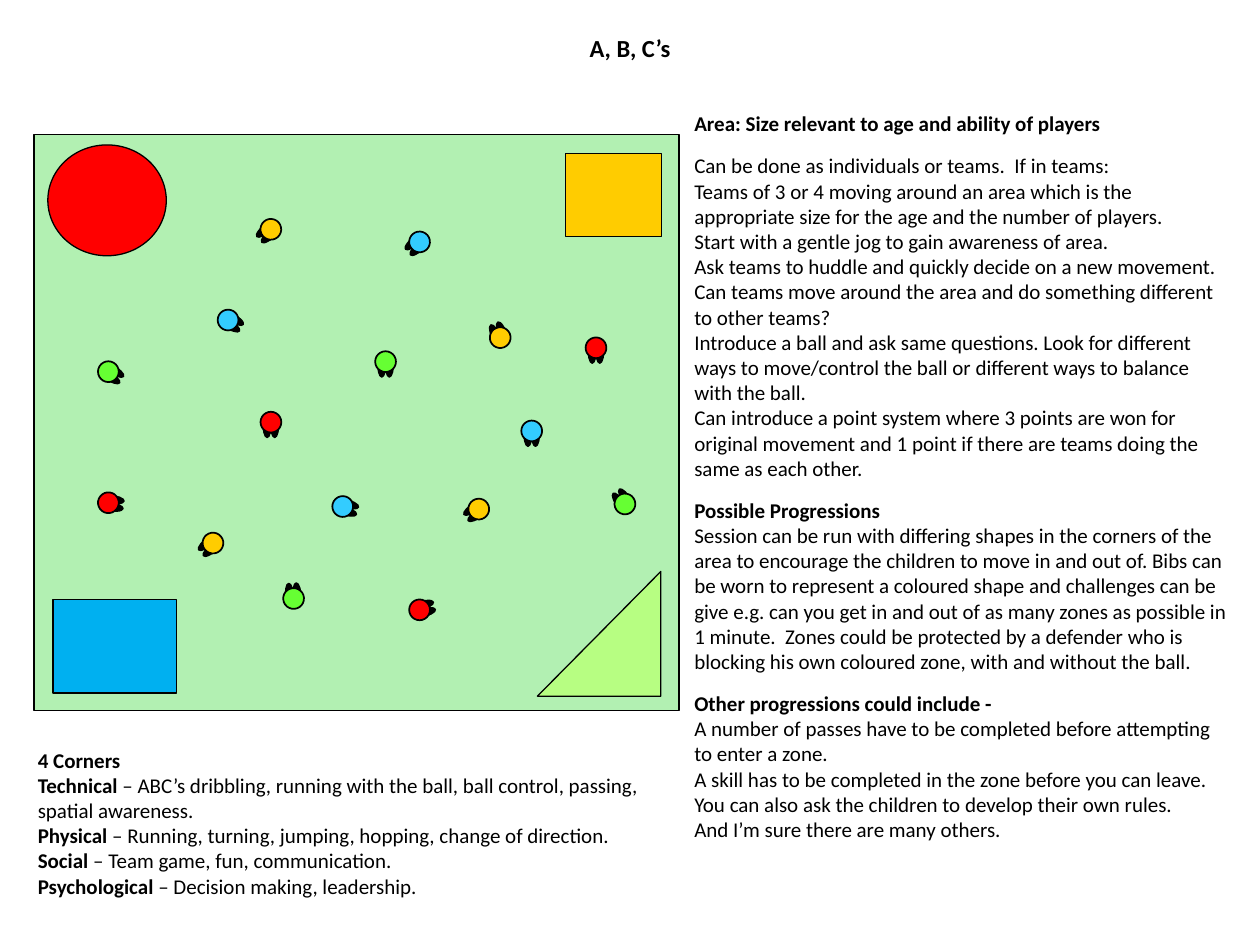
from math import cos, radians, sin

from lxml.etree import SubElement
from pptx import Presentation
from pptx.dml.color import RGBColor
from pptx.enum.shapes import MSO_SHAPE
from pptx.enum.text import MSO_ANCHOR, MSO_AUTO_SIZE, PP_ALIGN
from pptx.oxml.ns import qn
from pptx.util import Inches, Pt

THEME = {
    "font": "Calibri", "title": Pt(14), "body": Pt(12), "gap": Pt(9.6),
    "thin": Pt(0.75), "outline": Pt(1),
    "black": RGBColor(0x00, 0x00, 0x00), "pitch": RGBColor(0xB2, 0xF0, 0xB2),
    "red": RGBColor(0xFF, 0x00, 0x00), "yellow": RGBColor(0xFF, 0xCC, 0x00),
    "green": RGBColor(0x66, 0xFF, 0x33), "blue": RGBColor(0x33, 0xCC, 0xFF),
    "blue zone": RGBColor(0x00, 0xB0, 0xF0), "green zone": RGBColor(0xB7, 0xFE, 0x82),
}

presentation = Presentation()
presentation.slide_width, presentation.slide_height = Inches(10), Inches(7.5)
CELL = presentation.slide_width / 100  # square grid: 100 columns by 75 rows
slide = presentation.slides.add_slide(presentation.slide_layouts[3])


def add_outlined(kind, column, row, columns, rows, color, rotation=0, line="thin"):
    box = [round(length * CELL) for length in (column, row, columns, rows)]
    shape = slide.shapes.add_shape(kind, *box)
    shape.rotation = rotation
    shape.shadow.inherit = False
    shape.fill.solid()
    shape.fill.fore_color.rgb = THEME[color]
    shape.line.color.rgb = THEME["black"]
    shape.line.width = THEME[line]


def fill_placeholder(placeholder, box, inset, paragraphs, size, alignment):
    """Write paragraphs of (gap before, bold text, plain text) into a placeholder."""
    for name, length in zip(("left", "top", "width", "height"), box):
        setattr(placeholder, name, round(length * CELL))
    frame = placeholder.text_frame
    frame_format = {"word_wrap": True, "auto_size": MSO_AUTO_SIZE.NONE,
                    "vertical_anchor": MSO_ANCHOR.TOP}
    for side, length in zip(("left", "top", "right", "bottom"), inset):
        frame_format[f"margin_{side}"] = Inches(length)
    for name, value in frame_format.items():
        setattr(frame, name, value)
    for index, (gap, *texts) in enumerate(paragraphs):
        paragraph = frame.paragraphs[0] if index == 0 else frame.add_paragraph()
        properties = paragraph._p.get_or_add_pPr()
        properties.set("marL", "0")
        properties.set("indent", "0")
        paragraph.alignment = alignment
        paragraph.space_before = THEME["gap"] if gap else Pt(0)
        SubElement(properties, qn("a:buNone"))
        for bold, text in zip((True, False), texts):
            if text:
                run = paragraph.add_run()
                run.text = text
                run_format = {"name": THEME["font"], "size": THEME[size], "bold": bold}
                for name, value in run_format.items():
                    setattr(run.font, name, value)
                run.font.color.rgb = THEME["black"]


session = [
    (False, "Area: Size relevant to age and ability of players", ""),
    (True, "", "Can be done as individuals or teams.  If in teams:"),
    (False, "", "Teams of 3 or 4 moving around an area which is the appropriate size "
     "for the age and the number of players."),
    (False, "", "Start with a gentle jog to gain awareness of area."),
    (False, "", "Ask teams to huddle and quickly decide on a new movement. Can teams "
     "move around the area and do something different to other teams?"),
    (False, "", "Introduce a ball and ask same questions. Look for different ways to "
     "move/control the ball or different ways to balance with the ball."),
    (False, "", "Can introduce a point system where 3 points are won for original "
     "movement and 1 point if there are teams doing the same as each other."),
    (True, "Possible Progressions", ""),
    (False, "", "Session can be run with differing shapes in the corners of the area to "
     "encourage the children to move in and out of. Bibs can be worn to represent a "
     "coloured shape and challenges can be give e.g. can you get in and out of as many "
     "zones as possible in 1 minute.  Zones could be protected by a defender who is "
     "blocking his own coloured zone, with and without the ball."),
    (True, "Other progressions could include -", ""),
    (False, "", "A number of passes have to be completed before attempting to enter a zone."),
    (False, "", "A skill has to be completed in the zone before you can leave."),
    (False, "", "You can also ask the children to develop their own rules."),
    (False, "", "And I’m sure there are many others."),
]
four_corners = [
    (False, "4 Corners", ""),
    (False, "Technical", " – ABC’s dribbling, running with the ball, ball control, "
     "passing, spatial awareness."),
    (False, "Physical ", "– Running, turning, jumping, hopping, change of direction."),
    (False, "Social ", "– Team game, fun, communication."),
    (False, "Psychological ", "– Decision making, leadership."),
]
title, session_box, corners_box = slide.placeholders
default_inset = (0.1, 0.05, 0.1, 0.05)
fill_placeholder(title, (7.5, 2.1, 85, 4.8), default_inset,
                 [(False, "A, B, C’s", "")], "title", PP_ALIGN.CENTER)
fill_placeholder(session_box, (54.7, 8.4, 43.3, 55.5), (0.04,) * 4,
                 session, "body", PP_ALIGN.LEFT)
fill_placeholder(corners_box, (2, 58.8, 51.2, 16.2), default_inset,
                 four_corners, "body", PP_ALIGN.LEFT)

# Pitch and its corner zones
add_outlined(MSO_SHAPE.RECTANGLE, 2.7, 10.7, 51.2, 45.7, "pitch")
add_outlined(MSO_SHAPE.OVAL, 3.8, 11.5, 9.4, 8.8, "red")
add_outlined(MSO_SHAPE.RIGHT_TRIANGLE, 42.6, 45.4, 9.9, 9.8, "green zone", 270)
add_outlined(MSO_SHAPE.RECTANGLE, 4.2, 47.6, 9.8, 7.4, "blue zone")
add_outlined(MSO_SHAPE.RECTANGLE, 44.9, 12.2, 7.6, 6.6, "yellow")

# Players: head centre as (column, row), and the direction the feet point
players = {
    "red": [(8.6, 39.9, 98), (21.5, 33.5, 180), (47.3, 27.6, 180), (33.3, 48.4, 75)],
    "green": [(8.6, 29.5, 121), (49.6, 40, 326), (30.6, 28.7, 180), (23.3, 47.5, 356)],
    "yellow": [(38, 40.4, 236), (21.5, 18.2, 229), (16.9, 43.1, 231), (39.7, 26.8, 338)],
    "blue": [(42.2, 34.2, 180), (33.3, 19.2, 229), (27.2, 40.2, 106), (18.1, 25.4, 120)],
}
HEAD, FOOT_WIDTH, FOOT_LENGTH, FOOT_REACH = 1.65, 0.6, 1.65, 0.4
for color, team in players.items():
    for column, row, direction in team:
        sine, cosine = sin(radians(direction)), cos(radians(direction))
        for side in (-FOOT_WIDTH / 2, FOOT_WIDTH / 2):
            foot_column = column + side * cosine + FOOT_REACH * sine
            foot_row = row + side * sine - FOOT_REACH * cosine
            add_outlined(MSO_SHAPE.OVAL, foot_column - FOOT_WIDTH / 2,
                         foot_row - FOOT_LENGTH / 2, FOOT_WIDTH, FOOT_LENGTH,
                         "black", direction)
        add_outlined(MSO_SHAPE.OVAL, column - HEAD / 2, row - HEAD / 2, HEAD, HEAD,
                     color, direction, "outline")

presentation.save("out.pptx")
